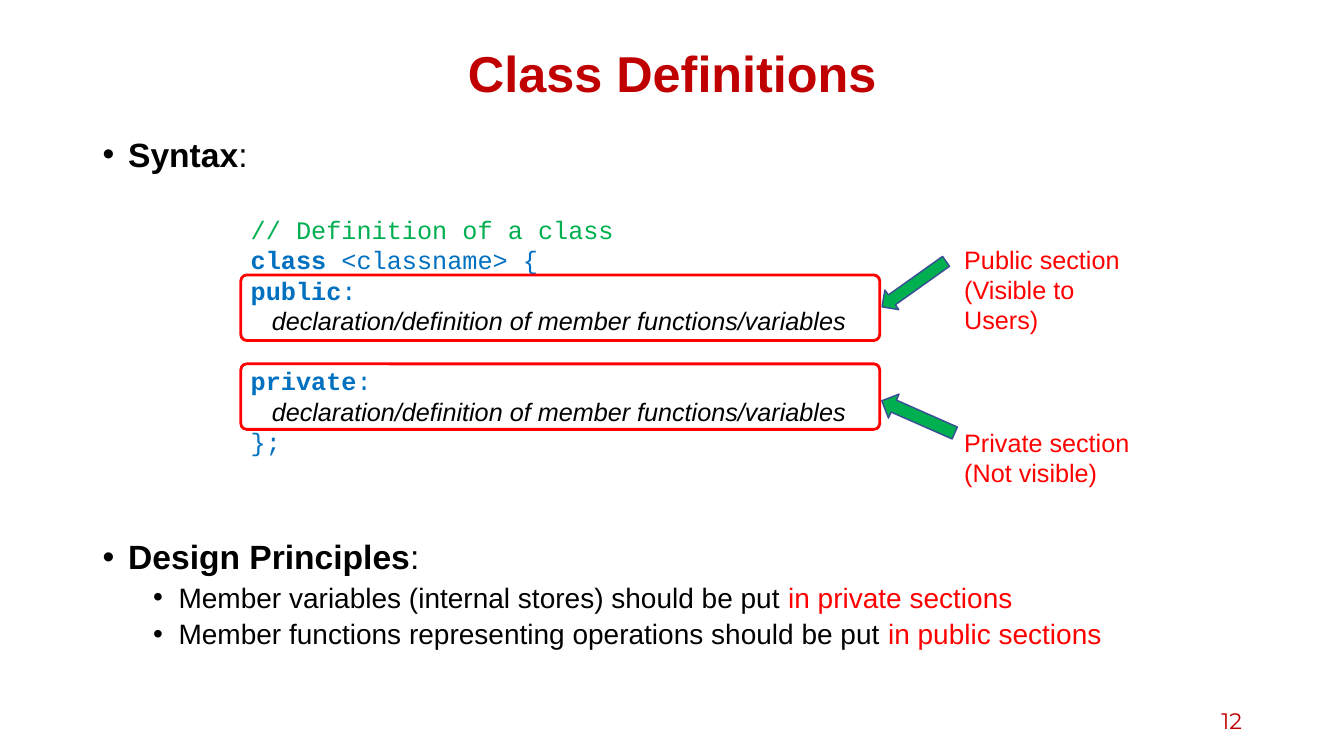
import pptx
import pptx.util
import pptx.dml.color
import pptx.enum.shapes
import pptx.enum.text
import pptx.oxml
import pptx.oxml.ns

Cm, Pt = pptx.util.Cm, pptx.util.Pt
SHAPE = pptx.enum.shapes.MSO_SHAPE
ALIGN = pptx.enum.text.PP_ALIGN
ANCHOR = pptx.enum.text.MSO_ANCHOR
COLORS = {"title": "C00000", "black": "000000", "red": "FF0000",
          "green": "00B050", "blue": "0070C0", "edge": "3A4C94"}


def paint(name):
    return pptx.dml.color.RGBColor.from_string(COLORS[name])


def write(frame, rows, size, font, pitch):
    """Fill a frame; each row is a list of (text, colour, style) runs."""
    frame.word_wrap = True
    for i, row in enumerate(rows):
        para = frame.paragraphs[0] if i == 0 else frame.add_paragraph()
        para.line_spacing = pitch
        for text, color, style in row:
            run = para.add_run()
            run.text = text
            run.font.size = Pt(size)
            run.font.name = "Arial" if "i" in style else font
            run.font.color.rgb = paint(color)
            run.font.bold = "b" in style
            run.font.italic = "i" in style
    return frame.paragraphs


deck = pptx.Presentation()
deck.slide_width, deck.slide_height = Cm(33.87), Cm(19.05)
slide = deck.slides.add_slide(deck.slide_layouts[5])
shapes = slide.shapes

# Title
title = shapes.title
title.left, title.top, title.width, title.height = Cm(2.34), Cm(1.02), Cm(29.21), Cm(1.78)
frame = title.text_frame
frame.auto_size = pptx.enum.text.MSO_AUTO_SIZE.NONE
frame.vertical_anchor = ANCHOR.MIDDLE
lines = write(frame, [[("Class Definitions", "title", "b")]], 36, "Arial", 0.9)
lines[0].alignment = ALIGN.CENTER

# Bulleted points: text runs, size, line pitch, space before, left margin
points = [
    ([("Syntax", "black", "b"), (":", "black", "")], 24, 25.7, 0, 0.64),
    ([("Design Principles", "black", "b"), (":", "black", "")], 24, 25.7, 262, 0.64),
    ([("Member variables (internal stores) should be put ", "black", ""),
      ("in private sections", "red", "")], 20, 21.4, 5, 1.91),
    ([("Member functions representing operations should be put ", "black", ""),
      ("in public sections", "red", "")], 20, 21.4, 5, 1.91),
]
body = shapes.add_textbox(Cm(2.34), Cm(3.35), Cm(29.21), Cm(14))
lines = write(body.text_frame, [point[0] for point in points], 24, "Arial", 1)
for para, (row, size, pitch, gap, left) in zip(lines, points):
    para.line_spacing, para.space_before = Pt(pitch), Pt(gap)
    para.level = 1 if size == 20 else 0
    for run in para.runs:
        run.font.size = Pt(size)
    props = para._p.get_or_add_pPr()
    props.set("marL", str(Cm(left)))
    props.set("indent", str(-Cm(0.64)))
    for tag, key, value in (("a:buFont", "typeface", "Arial"), ("a:buChar", "char", "•")):
        mark = pptx.oxml.parse_xml(f"<{tag} {pptx.oxml.ns.nsdecls('a')}/>")
        mark.set(key, value)
        props.append(mark)

# Slide number
number = shapes.add_textbox(Cm(23.93), Cm(17.65), Cm(7.62), Cm(1.02))
number.text_frame.vertical_anchor = ANCHOR.MIDDLE
lines = write(number.text_frame, [[("12", "title", "")]], 16, "Montserrat", 1)
lines[0].alignment = ALIGN.RIGHT

# Class code
member = [("declaration/definition of member functions/variables", "black", "i")]
code = [
    [("// Definition of a class", "green", "")],
    [("class ", "blue", "b"), ("<classname> {", "blue", "")],
    [("public", "blue", "b"), (":", "blue", "")],
    member,
    [("private", "blue", "b"), (":", "blue", "")],
    member,
    [("};", "blue", "")],
]
box = shapes.add_textbox(Cm(6.07), Cm(5.28), Cm(16.94), Cm(6.4))
lines = write(box.text_frame, code, 18, "Courier New", Pt(21.6))
lines[4].space_before = Pt(21.6)
for row, para in zip(code, lines):
    if row is member:
        para._p.get_or_add_pPr().set("marL", str(Cm(0.53)))

# Each section: frame top, arrow place and turn, note top and words
parts = [
    (6.93, (22.73, 6.17, 0.61, 1.98), 54.6, 6.02, ("Public section", "(Visible to Users)")),
    (9.17, (22.81, 9.5, 0.66, 2.01), 113.8, 10.64, ("Private section", "(Not visible)")),
]
for top, place, turn, height, words in parts:
    ring = shapes.add_shape(SHAPE.ROUNDED_RECTANGLE, Cm(6.07), Cm(top), Cm(16.1), Cm(1.65))
    ring.adjustments[0] = 0.09
    ring.fill.background()
    ring.line.color.rgb, ring.line.width = paint("red"), Pt(2)

    arrow = shapes.add_shape(SHAPE.DOWN_ARROW, *map(Cm, place))
    arrow.rotation = turn
    arrow.fill.solid()
    arrow.fill.fore_color.rgb = paint("green")
    arrow.line.color.rgb, arrow.line.width = paint("edge"), Pt(1)
    ring.shadow.inherit = arrow.shadow.inherit = False

    note = shapes.add_textbox(Cm(24.05), Cm(height), Cm(5.13), Cm(1.8))
    write(note.text_frame, [[(word, "red", "")] for word in words], 18, "Arial", Pt(21.6))

deck.save("out.pptx")
